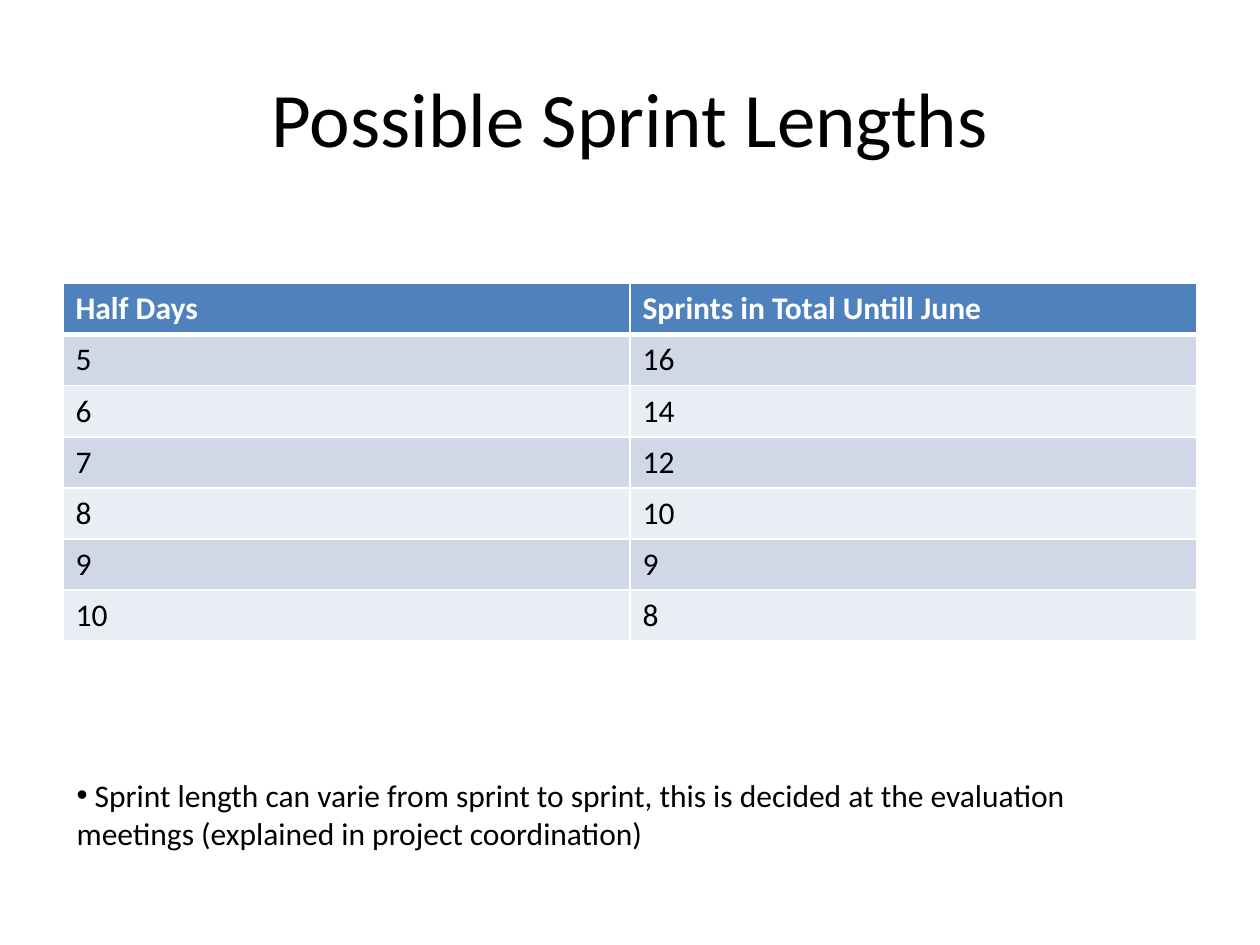
"""Build a slide listing the possible sprint lengths."""
import lxml.etree
import pptx
import pptx.dml.color
import pptx.enum.text
import pptx.oxml.ns
import pptx.util

Inches = pptx.util.Inches
FONT = "Calibri"
BLACK, WHITE = "000000", "FFFFFF"
HEADER_FILL = "4F81BD"
BAND_FILLS = ("D0D8E8", "E9EDF4")
SPRINT_ROWS = [
    ("Half Days", "Sprints in Total Untill June"),
    ("5", "16"),
    ("6", "14"),
    ("7", "12"),
    ("8", "10"),
    ("9", "9"),
    ("10", "8"),
]
NOTE = (" Sprint length can varie from sprint to sprint, this is decided "
        "at the evaluation meetings (explained in project coordination)")


def color(value):
    return pptx.dml.color.RGBColor.from_string(value)


def add_xml(parent, tag, **attributes):
    return lxml.etree.SubElement(parent, pptx.oxml.ns.qn(tag), attributes)


def add_run(paragraph, text, size, ink=BLACK, bold=False):
    run = paragraph.add_run()
    run.text = text
    run.font.name = FONT
    run.font.size = pptx.util.Pt(size)
    run.font.bold = bold
    run.font.color.rgb = color(ink)


def add_text(slide, box, text, size):
    frame = slide.shapes.add_textbox(*map(Inches, box)).text_frame
    frame.word_wrap = True
    add_run(frame.paragraphs[0], text, size)
    return frame


def add_bullet(paragraph):
    properties = paragraph._p.get_or_add_pPr()
    add_xml(properties, "a:buFont", typeface="Arial")
    add_xml(properties, "a:buChar", char="•")


def add_borders(cell, top, bottom):
    properties = cell._tc.get_or_add_tcPr()
    for side, points in (("L", 1), ("R", 1), ("T", top), ("B", bottom)):
        border = add_xml(properties, f"a:ln{side}", w=str(pptx.util.Pt(points)))
        add_xml(add_xml(border, "a:solidFill"), "a:srgbClr", val=WHITE)


def add_sprint_table(slide, left, top, width, height):
    table = slide.shapes.add_table(
        len(SPRINT_ROWS), len(SPRINT_ROWS[0]),
        Inches(left), Inches(top), Inches(width), Inches(height)).table
    for row, texts in enumerate(SPRINT_ROWS):
        header = row == 0
        for column, text in enumerate(texts):
            cell = table.cell(row, column)
            add_borders(cell, top=3 if row == 1 else 1, bottom=3 if header else 1)
            cell.fill.solid()
            cell.fill.fore_color.rgb = color(
                HEADER_FILL if header else BAND_FILLS[(row - 1) % 2])
            add_run(cell.text_frame.paragraphs[0], text, 18,
                    WHITE if header else BLACK, header)


def main():
    deck = pptx.Presentation()
    deck.slide_width, deck.slide_height = Inches(10), Inches(7.5)
    slide = deck.slides.add_slide(deck.slide_layouts[6])

    title = add_text(slide, (0.5, 0.3, 9, 1.25), "Possible Sprint Lengths", 44)
    title.vertical_anchor = pptx.enum.text.MSO_ANCHOR.MIDDLE
    title.paragraphs[0].alignment = pptx.enum.text.PP_ALIGN.CENTER

    add_sprint_table(slide, 0.5, 2.25, 9, 2.84)

    note = add_text(slide, (0.51, 6.11, 8.82, 0.71), NOTE, 18)
    note.auto_size = pptx.enum.text.MSO_AUTO_SIZE.SHAPE_TO_FIT_TEXT
    add_bullet(note.paragraphs[0])

    deck.save("out.pptx")


main()
